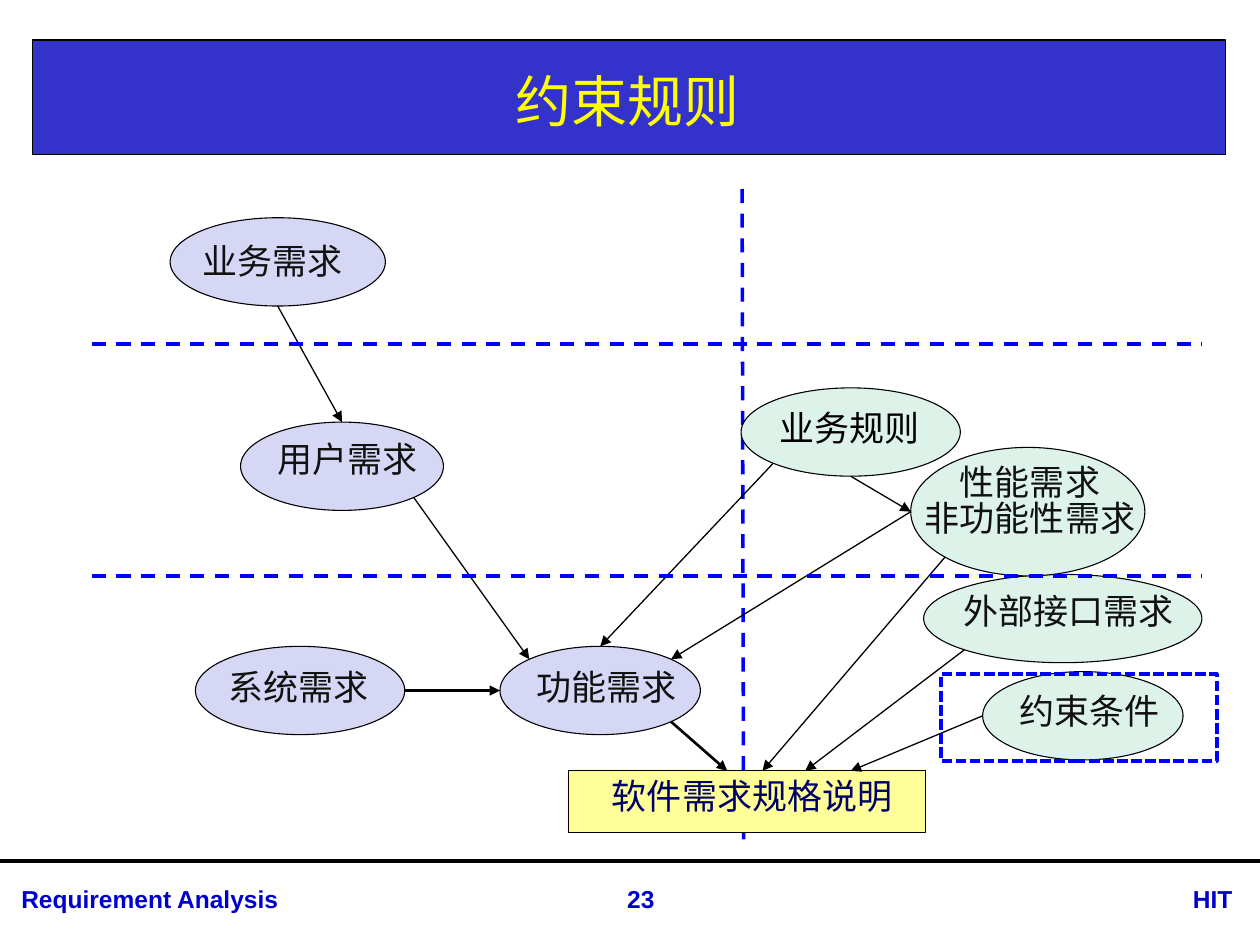
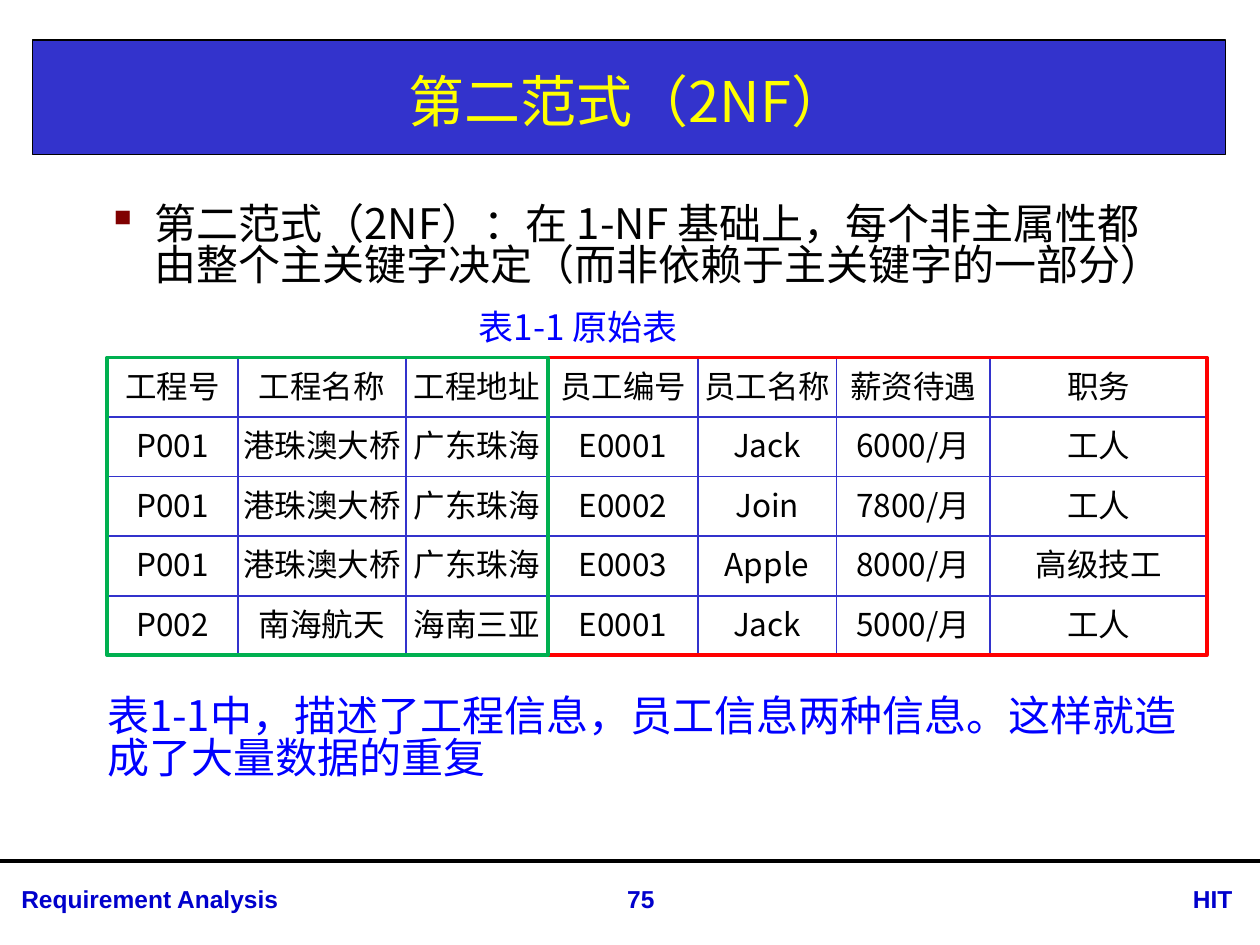
from itertools import product
from math import cos, radians, sin

from lxml import etree
from pptx import Presentation
from pptx.dml.color import RGBColor
from pptx.enum import dml, shapes, text
from pptx.oxml import ns
from pptx.util import Cm, Pt

COLORS = {
    "band": "3333CC", "title": "FFFF00", "footer": "0000CC", "black": "000000",
    "label": "111111", "blue": "0000FF", "navy": "000066", "bullet": "800000",
    "lilac": "D6D6F5", "mint": "DDF3EA", "yellow": "FFFF99",
    "red": "FF0000", "green": "00B050",
}
CJK = "Noto Sans CJK SC"
CENTER = text.PP_ALIGN.CENTER
DASH = dml.MSO_LINE.DASH
SQUARE_DOT = dml.MSO_LINE.SQUARE_DOT
ELLIPSE = shapes.MSO_SHAPE.OVAL
RECT = shapes.MSO_SHAPE.RECTANGLE


def rgb(name):
    return RGBColor.from_string(COLORS[name])


def sub(parent, tag, **attrs):
    return etree.SubElement(parent, ns.qn(tag), attrs)


def site(box, angle):
    """Point on an ellipse, in degrees clockwise from the right, each diagonal at 45."""
    x, y, w, h = box
    a = radians(angle)
    return x + w / 2 * (1 + cos(a)), y + h / 2 * (1 + sin(a))


class Deck:
    def __init__(self):
        self.prs = Presentation()
        self.prs.slide_width, self.prs.slide_height = Cm(25.4), Cm(19.05)
        self.s = None

    def slide(self, title, number):
        self.s = self.prs.slides.add_slide(self.prs.slide_layouts[5])
        ph = self.s.shapes.title
        band = self.shape(RECT, (0.66, 0.81, 24.05, 2.31), "band", width=0.75)
        ph.element.addprevious(band.element)
        ph.left, ph.top, ph.width, ph.height = map(Cm, (0.66, 0.91, 24, 2.21))
        ph.text_frame.text = title
        ph.text_frame.vertical_anchor = text.MSO_ANCHOR.MIDDLE
        self.style(ph.text_frame.paragraphs[0], 32, "title", align=CENTER)
        self.line((0, 17.35), (25.4, 17.35), "black", 2.25)
        for words, x, w, align in (("Requirement Analysis", 0.18, 7.39, None),
                                   ("HIT", 23.8, 1.75, None),
                                   (str(number), 11.61, 2.62, CENTER)):
            self.text(words, (x, 17.7, w, 0.86), 14, "footer", align,
                      font="Arial", bold=True)

    def style(self, p, size, color, align=None, font=CJK, bold=False):
        p.alignment = align
        f = p.font
        f.size, f.name, f.bold = Pt(size), font, bold
        f.color.rgb = rgb(color)
        latin = p._p.pPr.find(".//" + ns.qn("a:latin"))
        latin.addnext(etree.Element(ns.qn("a:ea"), typeface=font))

    def text(self, words, box, size, color, align=None, spacing=None,
             inset=True, bullet=None, **font):
        tf = self.s.shapes.add_textbox(*map(Cm, box)).text_frame
        tf.word_wrap = True
        if not inset:
            tf.margin_left = tf.margin_right = tf.margin_top = tf.margin_bottom = 0
        tf.text = words
        for p in tf.paragraphs:
            if spacing:
                p.line_spacing = spacing
            if bullet:
                self.bullet(p, bullet)
            self.style(p, size, color, align, **font)

    def bullet(self, p, char):
        pPr = p._p.get_or_add_pPr()
        pPr.set("marL", str(Cm(0.96)))
        pPr.set("indent", str(Cm(-0.96)))
        sub(sub(pPr, "a:buClr"), "a:srgbClr", val=COLORS["bullet"])
        sub(pPr, "a:buChar", char=char)

    def shape(self, kind, box, fill=None, line="black", width=0.63, dash=None):
        sp = self.s.shapes.add_shape(kind, *map(Cm, box))
        sp.shadow.inherit = False
        if fill:
            sp.fill.solid()
            sp.fill.fore_color.rgb = rgb(fill)
        else:
            sp.fill.background()
        sp.line.color.rgb = rgb(line)
        sp.line.width = Pt(width)
        sp.line.dash_style = dash
        return sp

    def line(self, start, end, color="black", width=0.75, dash=None, arrow=False):
        c = self.s.shapes.add_connector(shapes.MSO_CONNECTOR.STRAIGHT,
                                        *map(Cm, (*start, *end)))
        c.line.color.rgb = rgb(color)
        c.line.width = Pt(width)
        c.line.dash_style = dash
        if arrow:
            sub(c.line._get_or_add_ln(), "a:tailEnd", type="triangle")
        sub(c.element.spPr, "a:effectLst")

    def table(self, rows, left, top, widths, row_height):
        frame = self.s.shapes.add_table(
            len(rows), len(widths), Cm(left), Cm(top),
            Cm(sum(widths)), Cm(row_height * len(rows)))
        tbl = frame.table
        tbl.first_row = tbl.horz_banding = False
        for col, w in zip(tbl.columns, widths):
            col.width = Cm(w)
        for row in tbl.rows:
            row.height = Cm(row_height)
        for r, c in product(range(len(rows)), range(len(widths))):
            cell = tbl.cell(r, c)
            cell.margin_left = cell.margin_right = Cm(0.08)
            cell.margin_top = cell.margin_bottom = Cm(0.08)
            cell.text = rows[r][c]
            self.style(cell.text_frame.paragraphs[0], 18, "black", CENTER)
            for side in "LRTB":
                ln = sub(cell._tc.get_or_add_tcPr(), "a:ln" + side, w=str(Pt(1)))
                sub(sub(ln, "a:solidFill"), "a:srgbClr", val=COLORS["band"])
            cell.fill.background()


def constraint_slide(d):
    d.slide("约束规则", 23)
    d.line((14.96, 3.81), (14.99, 16.92), "blue", 2, DASH)

    business = (3.43, 4.39, 4.34, 1.78)
    rules = (14.94, 7.82, 4.42, 1.78)
    function = (10.08, 13.03, 4.04, 1.78)
    system = (3.94, 13.03, 4.22, 1.78)
    interface = (18.62, 11.58, 5.61, 1.78)
    user = (4.85, 8.51, 4.09, 1.78)
    condition = (19.81, 13.54, 4.04, 1.78)
    quality = (18.36, 9.02, 4.72, 2.59)
    document = (11.46, 15.54, 7.19, 1.24)

    # outline, fill, words, label left, top and width
    for box, fill, words, x, y, w in (
            (business, "lilac", "业务需求", 3.18, 4.83, 4.62),
            (rules, "mint", "业务规则", 14.55, 8.2, 5.16),
            (function, "lilac", "功能需求", 9.5, 13.41, 5.46),
            (system, "lilac", "系统需求", 3.3, 13.41, 5.44),
            (interface, "mint", "外部接口需求", 18.34, 11.89, 6.4),
            (user, "lilac", "用户需求", 4.29, 8.81, 5.44),
            (condition, "mint", "约束条件", 19.2, 13.89, 5.54),
            (quality, "mint", "性能需求\n非功能性需求", 17.55, 9.42, 6.43),
            (document, "yellow", "软件需求规格说明", 10.87, 15.62, 8.59)):
        d.shape(RECT if box is document else ELLIPSE, box, fill)
        color = {rules: "black", document: "navy"}.get(box, "label")
        lines = words.count("\n") + 1
        d.text(words, (x, y, w, 0.86 * lines), 20, color, CENTER,
               spacing=0.85 if lines > 1 else None, inset=False)

    top = document[1]
    for start, end, width in (
            (site(user, 45), site(function, 225), 0.75),
            (site(business, 90), site(user, 270), 0.75),
            (site(rules, 135), site(function, 270), 0.75),
            (site(rules, 90), site(quality, 180), 0.75),
            (site(quality, 180), site(function, 315), 0.75),
            (site(system, 0), site(function, 180), 1.5),
            (site(function, 45), (14.66, top), 1.5),
            (site(quality, 135), (15.37, top), 0.75),
            (site(interface, 135), (16.23, top), 0.75),
            (site(condition, 180), (17.15, top), 0.75)):
        d.line(start, end, width=width, arrow=True)

    for y in (6.93, 11.61):
        d.line((1.85, y), (24.23, y), "blue", 2, DASH)
    d.shape(RECT, (18.97, 13.59, 5.56, 1.75), None, "blue", 2, SQUARE_DOT)


def second_form_slide(d):
    d.slide("第二范式（2NF）", 75)
    d.text("第二范式（2NF）：在 1-NF 基础上，每个非主属性都由整个主关键字决定"
           "（而非依赖于主关键字的一部分）",
           (1.91, 4.02, 22, 3.2), 24, "black", spacing=0.83, bullet="▪")
    d.text("表1-1中，描述了工程信息，员工信息两种信息。这样就造成了大量数据的重复",
           (1.91, 13.95, 22.6, 2.31), 24, "blue", spacing=0.83)
    d.text("表1-1 原始表", (9.4, 6.17, 5.61, 1.12), 20, "blue", spacing=0.83)

    bridge = ["P001", "港珠澳大桥", "广东珠海"]
    rows = [
        ["工程号", "工程名称", "工程地址", "员工编号", "员工名称", "薪资待遇", "职务"],
        bridge + ["E0001", "Jack", "6000/月", "工人"],
        bridge + ["E0002", "Join", "7800/月", "工人"],
        bridge + ["E0003", "Apple", "8000/月", "高级技工"],
        ["P002", "南海航天", "海南三亚", "E0001", "Jack", "5000/月", "工人"],
    ]
    left, top, row_height = 2.16, 7.21, 1.2
    widths = [2.64, 3.38, 2.87, 3.02, 2.79, 3.1, 4.37]
    d.table(rows, left, top, widths, row_height)

    project, staff = sum(widths[:3]), sum(widths[3:])
    height = row_height * len(rows)
    d.shape(RECT, (left + project, top, staff, height), None, "red", 2)
    d.shape(RECT, (left, top, project, height), None, "green", 2)


def main():
    d = Deck()
    constraint_slide(d)
    second_form_slide(d)
    d.prs.save("out.pptx")


if __name__ == "__main__":
    main()
